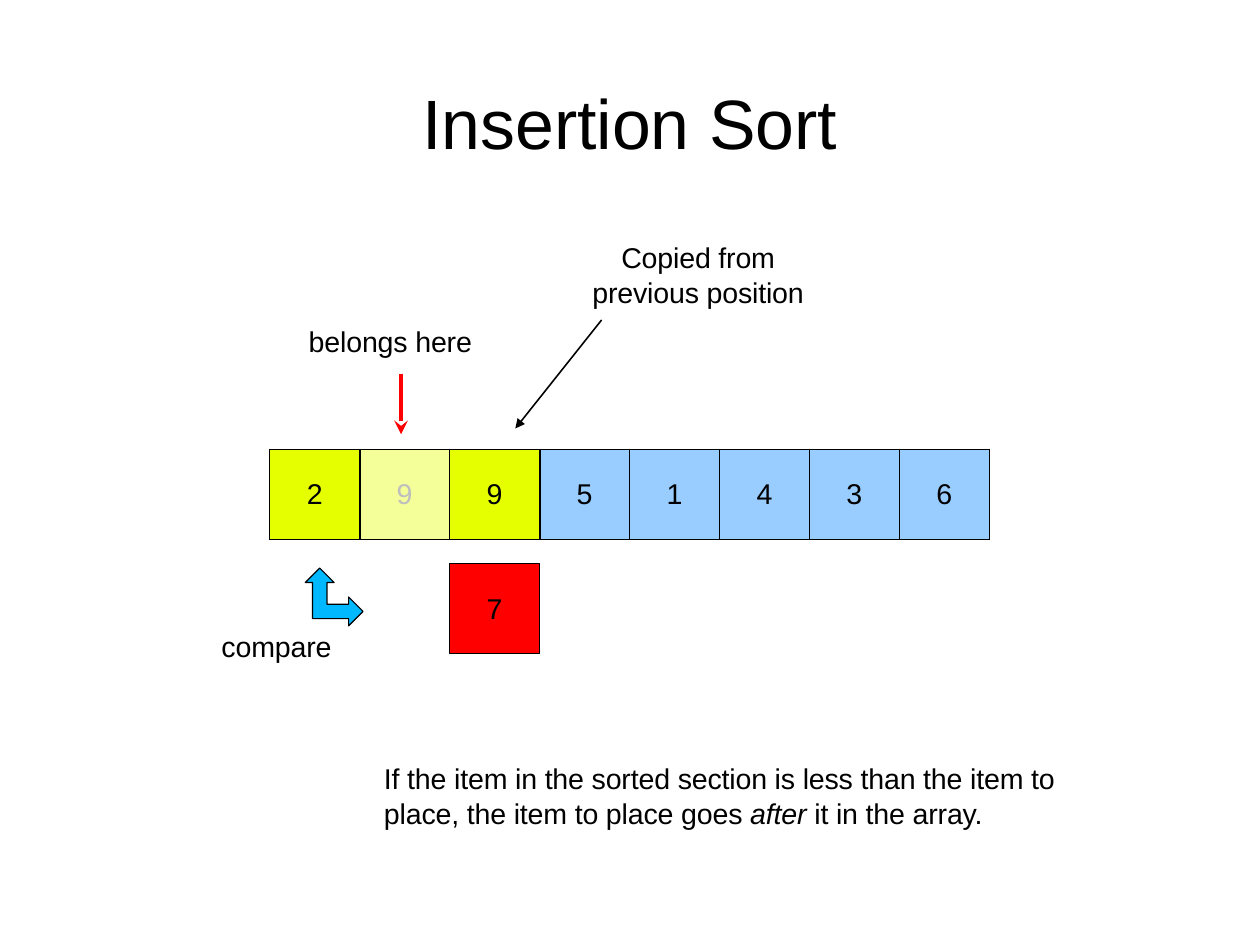
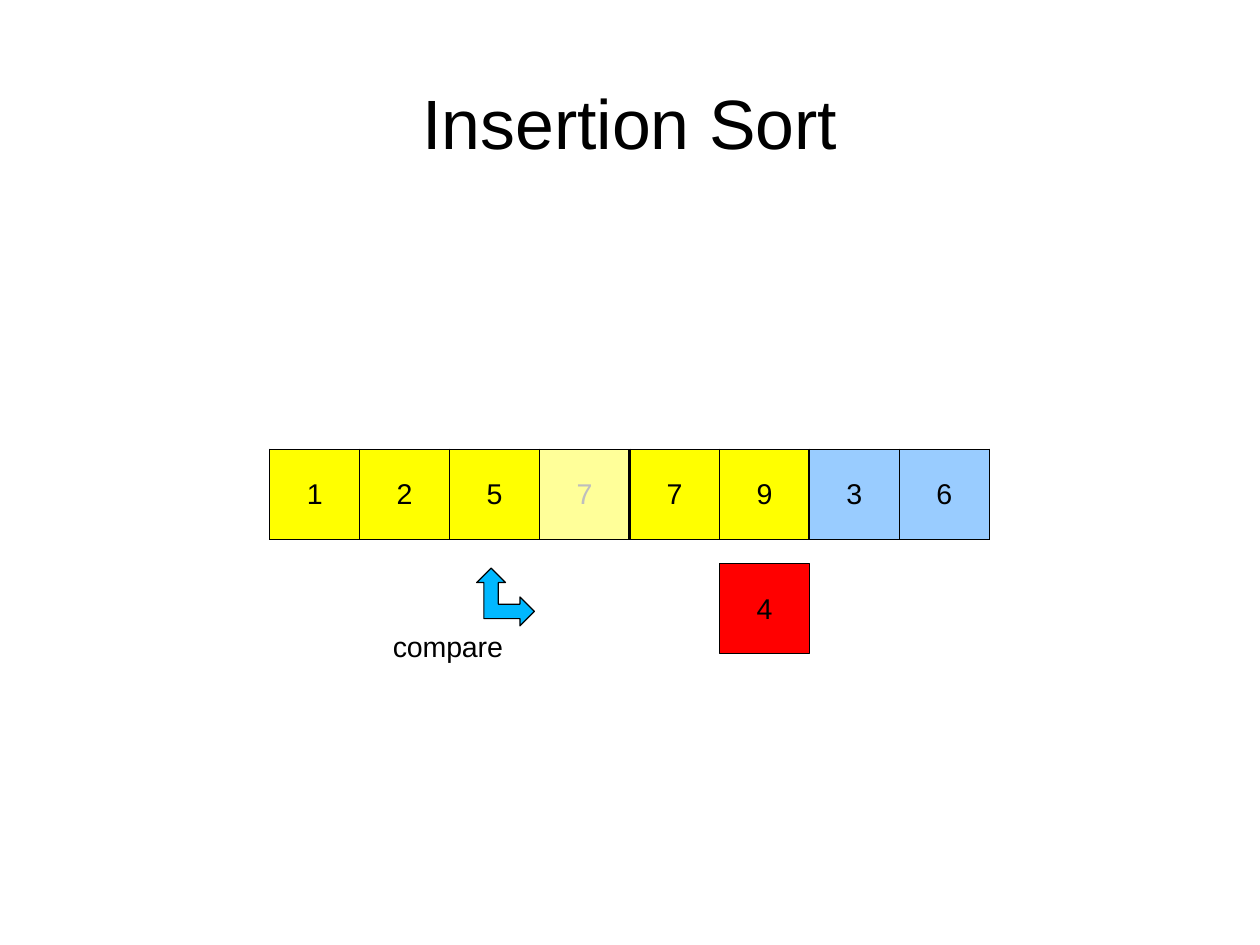
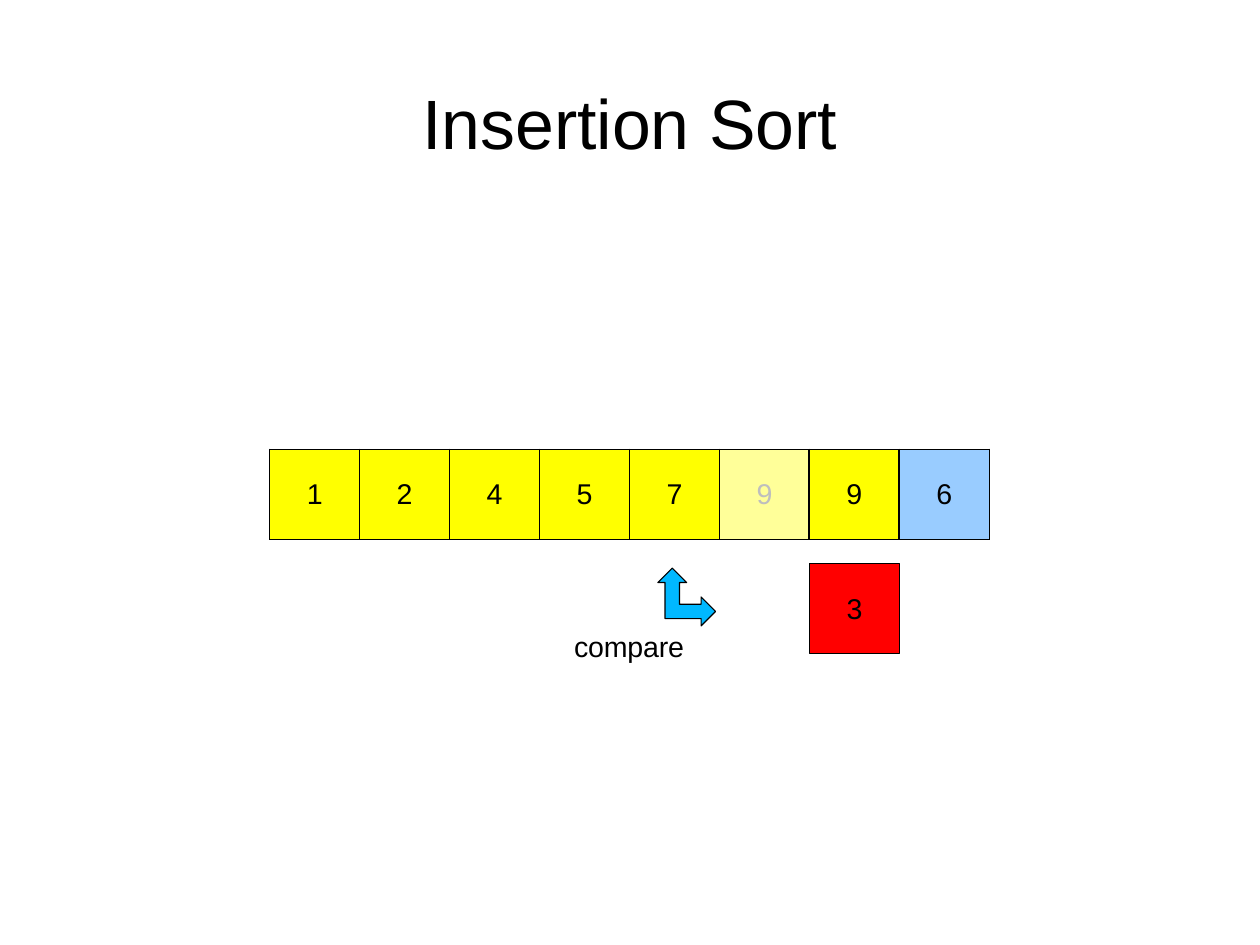
import pptx
import pptx.dml.color
import pptx.enum.shapes
import pptx.enum.text
import pptx.oxml
import pptx.oxml.ns
import pptx.util
import lxml.etree

Pt = pptx.util.Pt
ALIGN = pptx.enum.text.PP_ALIGN
MIDDLE = pptx.enum.text.MSO_ANCHOR.MIDDLE
SHAPE = pptx.enum.shapes.MSO_SHAPE

WIDTH, HEIGHT = 794.16, 595.44
TITLE = "Insertion Sort"
FONT, TITLE_SIZE, BODY_SIZE = "Arial", 44, 18
COLORS = {
    "ink": "000000",
    "ghost_text": "BEBEBE",
    "lime": "E6FF00",
    "yellow": "FFFF00",
    "unsorted": "99CCFF",
    "held": "FF0000",
    "compare": "00B8FF",
}
CELL = 56.7
ARRAY_LEFT, ARRAY_TOP = 170, 283
HELD_TOP = 355
COMPARE_TOP, COMPARE_SIZE = 358, 36.4
GHOST_ALPHA = 40

# ghost: cell already copied to its right; thick: columns with a heavy left edge
STEPS = [
    {
        "values": [2, 9, 9, 5, 1, 4, 3, 6], "sorted": 3, "ghost": 1, "thick": (1, 3),
        "color": "lime", "held": 7, "compare_left": 192.4,
        "notes": [
            (365, 151.4, 150, ALIGN.CENTER, [("Copied from previous position", False)]),
            (186, 204, 120, ALIGN.CENTER, [("belongs here", False)]),
            (242, 479.8, 436, ALIGN.LEFT, [
                ("If the item in the sorted section is less than the item to place, "
                 "the item to place goes ", False),
                ("after", True),
                (" it in the array.", False),
            ]),
        ],
        "arrows": [
            ((379.2, 201.6), (324.8, 270), "ink", 1, "triangle"),
            ((252.8, 235.4), (252.8, 273.6), "held", 2.9, "stealth"),
        ],
    },
    {
        "values": [1, 2, 5, 7, 7, 9, 3, 6], "sorted": 6, "ghost": 3, "thick": (4, 6),
        "color": "yellow", "held": 4, "compare_left": 300.4, "notes": [], "arrows": [],
    },
    {
        "values": [1, 2, 4, 5, 7, 9, 9, 6], "sorted": 7, "ghost": 5, "thick": (6, 7),
        "color": "yellow", "held": 3, "compare_left": 414.6, "notes": [], "arrows": [],
    },
]


def rgb(name):
    return pptx.dml.color.RGBColor.from_string(COLORS[name])


def write(frame, spans, size=BODY_SIZE, color="ink", align=ALIGN.CENTER):
    """Fill a frame with one paragraph of (text, italic) spans."""
    para = frame.paragraphs[0]
    para.alignment = align
    for text, italic in spans:
        span = para.add_run()
        span.text = text
        span.font.name = FONT
        span.font.size = Pt(size)
        span.font.italic = italic
        span.font.color.rgb = rgb(color)
        if size == BODY_SIZE:
            span._r.get_or_add_rPr().set("spc", "-10")


def clear_margins(item):
    item.margin_left = item.margin_right = item.margin_top = item.margin_bottom = 0


def add_text(page, left, top, width, align, spans, size=BODY_SIZE):
    box = page.shapes.add_textbox(Pt(left), Pt(top), Pt(width), Pt(size * 1.2))
    box.text_frame.word_wrap = True
    clear_margins(box.text_frame)
    write(box.text_frame, spans, size, align=align)


def add_shape(page, kind, left, top, size, color):
    shape = page.shapes.add_shape(kind, Pt(left), Pt(top), Pt(size), Pt(size))
    shape.shadow.inherit = False
    shape.fill.solid()
    shape.fill.fore_color.rgb = rgb(color)
    shape.line.color.rgb = rgb("ink")
    shape.line.width = Pt(0.75)
    return shape


def add_arrow(page, start, end, color, width, head):
    arrow = page.shapes.add_connector(
        pptx.enum.shapes.MSO_CONNECTOR.STRAIGHT, *(Pt(value) for value in start + end))
    arrow.line.color.rgb = rgb(color)
    arrow.line.width = Pt(width)
    tail = lxml.etree.SubElement(arrow.line._get_or_add_ln(), pptx.oxml.ns.qn("a:tailEnd"))
    tail.set("type", head)
    lxml.etree.SubElement(arrow._element.spPr, pptx.oxml.ns.qn("a:effectLst"))


def set_borders(cell, widths):
    """Draw the cell's edges; widths maps L, R, T and B, in that order, to points."""
    properties = cell._tc.get_or_add_tcPr()
    for side, width in widths.items():
        properties.append(pptx.oxml.parse_xml(
            f'<a:ln{side} {pptx.oxml.ns.nsdecls("a")} w="{Pt(width)}"><a:solidFill>'
            f'<a:srgbClr val="{COLORS["ink"]}"/></a:solidFill></a:ln{side}>'))


def add_array(page, step):
    count = len(step["values"])
    table = page.shapes.add_table(
        1, count, Pt(ARRAY_LEFT), Pt(ARRAY_TOP), Pt(CELL * count), Pt(CELL)).table
    table.first_row = table.horz_banding = False

    def edge(column):
        return 1.5 if column in step["thick"] else 1

    for column, value in enumerate(step["values"]):
        table.columns[column].width = Pt(CELL)
        cell = table.cell(0, column)
        ghost = column == step["ghost"]
        clear_margins(cell)
        cell.vertical_anchor = MIDDLE
        write(cell.text_frame, [(str(value), False)], color="ghost_text" if ghost else "ink")
        set_borders(cell, {"L": edge(column), "R": edge(column + 1), "T": 0.75, "B": 0.75})
        cell.fill.solid()
        cell.fill.fore_color.rgb = rgb(step["color"] if column < step["sorted"] else "unsorted")
        if ghost:
            color = cell._tc.tcPr.find(
                f'{pptx.oxml.ns.qn("a:solidFill")}/{pptx.oxml.ns.qn("a:srgbClr")}')
            alpha = lxml.etree.SubElement(color, pptx.oxml.ns.qn("a:alpha"))
            alpha.set("val", str(GHOST_ALPHA * 1000))


def add_held(page, step):
    """Place the item being inserted under the last sorted cell."""
    left = ARRAY_LEFT + CELL * (step["sorted"] - 1)
    held = add_shape(page, SHAPE.RECTANGLE, left, HELD_TOP, CELL, "held")
    clear_margins(held.text_frame)
    held.text_frame.vertical_anchor = MIDDLE
    write(held.text_frame, [(str(step["held"]), False)])


def add_compare(page, left):
    pointer = add_shape(page, SHAPE.LEFT_UP_ARROW, left, COMPARE_TOP, COMPARE_SIZE, "compare")
    pointer.rotation = 90
    add_text(page, left - 52.8, 396.4, 74, ALIGN.LEFT, [("compare", False)])


def main():
    deck = pptx.Presentation()
    deck.slide_width, deck.slide_height = Pt(WIDTH), Pt(HEIGHT)
    for step in STEPS:
        page = deck.slides.add_slide(deck.slide_layouts[6])
        add_text(page, 0, 50, WIDTH, ALIGN.CENTER, [(TITLE, False)], TITLE_SIZE)
        add_array(page, step)
        add_held(page, step)
        add_compare(page, step["compare_left"])
        for note in step["notes"]:
            add_text(page, *note)
        for arrow in step["arrows"]:
            add_arrow(page, *arrow)
    deck.save("out.pptx")


if __name__ == "__main__":
    main()
